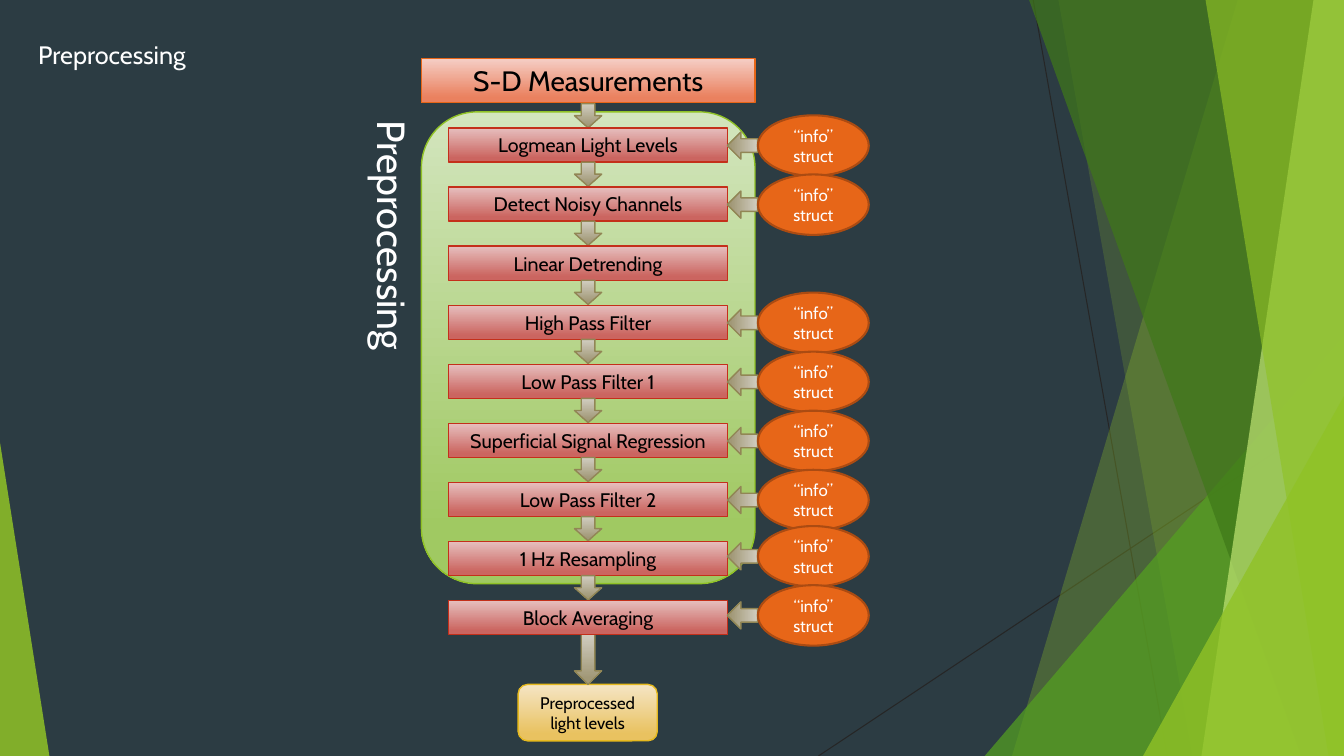
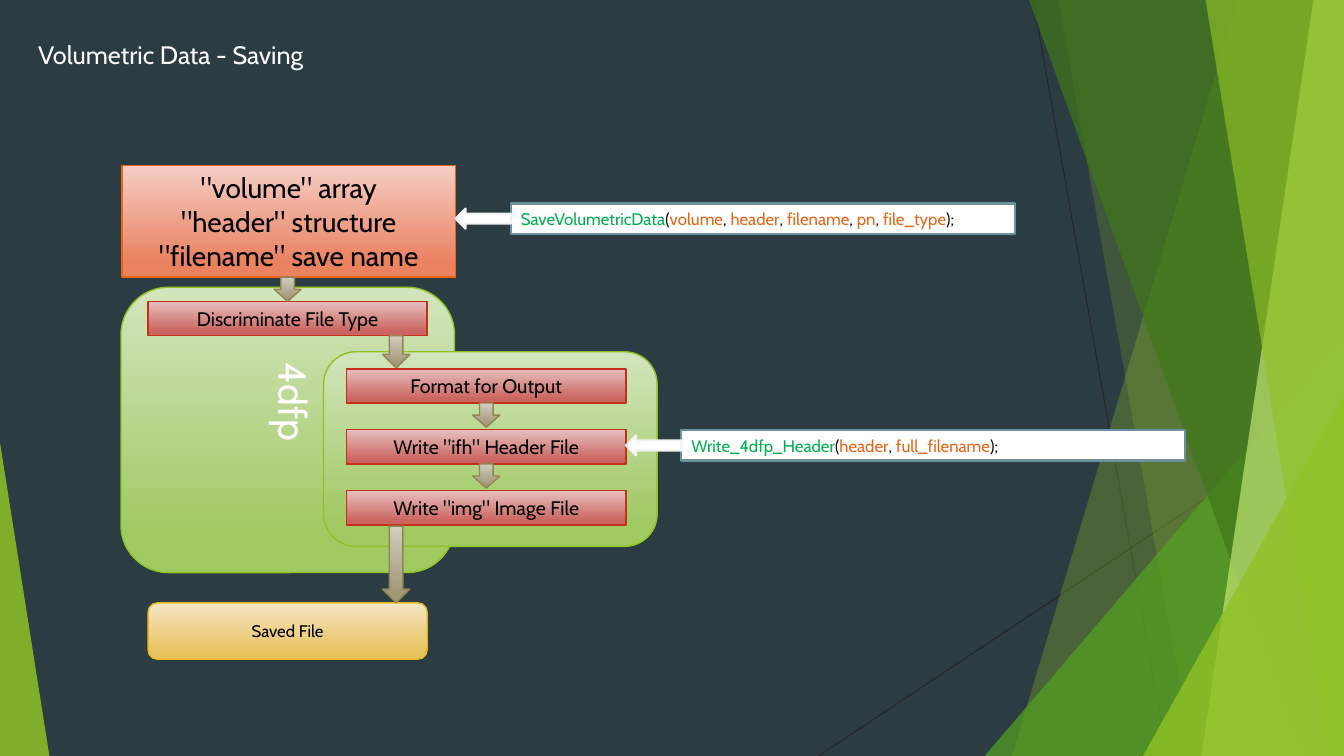
"""Build two flowchart slides on preprocessing and on saving volumetric data."""
import dataclasses
import typing

import lxml.etree
import pptx
import pptx.dml.color
import pptx.dml.fill
import pptx.enum.shapes
import pptx.enum.text
import pptx.oxml.ns
import pptx.presentation
import pptx.shapes.autoshape
import pptx.slide
import pptx.text.text
import pptx.util

Pt = pptx.util.Pt
KIND = pptx.enum.shapes.MSO_SHAPE
ALIGN = pptx.enum.text.PP_ALIGN
ANCHOR = pptx.enum.text.MSO_ANCHOR

FONT = "Cabin"
WIDTH, HEIGHT = 960, 540
STEP_WIDTH, STEP_HEIGHT = 199.4, 24.4
ARROW_WIDTH, ARROW_HEIGHT = 19.4, 17.3
INFO_WIDTH, INFO_HEIGHT = 79.2, 43.2

COLORS = {
    "background": "2C3C43", "hairline": "262626", "white": "FFFFFF", "black": "000000",
    "lime": "90C226", "green": "54A021", "forest": "3F7819", "pale lime": "C0E474",
    "panel top": "D3E5BE", "panel bottom": "A0C962",
    "input top": "F5CEC5", "input bottom": "EA815F", "orange": "E76618",
    "step top": "E6BFBE", "step bottom": "CB6560", "step edge": "C42F1A",
    "result top": "F5E5C5", "result bottom": "E9C260", "result edge": "E6B91E",
    "arrow top": "D1CDC0", "arrow bottom": "A19877", "arrow edge": "918655",
    "info edge": "AB4B12", "code edge": "6E91A0", "pointer edge": "F2F2F2",
    "function": "00B050",
}


@dataclasses.dataclass(frozen=True)
class Look:
    kind: pptx.enum.shapes.MSO_SHAPE
    fills: tuple[str, ...]
    edge: str
    weight: float = 1
    size: float = 12
    ink: str = "black"


PANEL = Look(KIND.ROUNDED_RECTANGLE, ("panel top", "panel bottom"), "lime")
INPUT = Look(KIND.RECTANGLE, ("input top", "input bottom"), "orange", size=20)
STEP = Look(KIND.RECTANGLE, ("step top", "step bottom"), "step edge", size=14)
RESULT = Look(KIND.ROUNDED_RECTANGLE, ("result top", "result bottom"), "result edge")
ARROW = Look(KIND.DOWN_ARROW, ("arrow top", "arrow bottom"), "arrow edge")
INFO = Look(KIND.OVAL, ("orange",), "info edge", 1.5, ink="white")
CODE = Look(KIND.RECTANGLE, ("white",), "code edge", 1.5)
POINTER = Look(KIND.LEFT_ARROW, ("white",), "pointer edge", 1.5)


@dataclasses.dataclass(frozen=True)
class Slab:
    top_x: float
    bottom_x: float
    color: str
    opacity: int


@dataclasses.dataclass(frozen=True)
class Wedge:
    left: float
    top: float
    width: float
    apex: float
    color: str
    opacity: int


@dataclasses.dataclass(frozen=True)
class Step:
    label: str
    info_rise: typing.Optional[float] = 9


@dataclasses.dataclass(frozen=True)
class Call:
    left: float
    top: float
    function: str
    arguments: tuple[str, ...]


HAIRLINES = ((738, 0, 833.8, HEIGHT), (WIDTH, 290.2, 584.6, HEIGHT))
FACETS = (
    Slab(884.2, 722.9, "lime", 30),
    Slab(756, 851.8, "lime", 20),
    Wedge(703.4, 239.8, 256.6, 1, "green", 72),
    Slab(735.1, 929.5, "forest", 70),
    Slab(938.2, 858.2, "pale lime", 70),
    Slab(861.1, 949, "lime", 65),
    Wedge(816.5, 283, 143.5, 1, "lime", 80),
    Wedge(0, 316.1, 35.3, 0, "lime", 85),
)
PREPROCESSING = (
    Step("Logmean Light Levels"),
    Step("Detect Noisy Channels"),
    Step("Linear Detrending", None),
    Step("High Pass Filter"),
    Step("Low Pass Filter 1"),
    Step("Superficial Signal Regression"),
    Step("Low Pass Filter 2"),
    Step("1 Hz Resampling", 11),
    Step("Block Averaging", 11),
)
SAVING = ("Format for Output", 'Write "ifh" Header File', 'Write "img" Image File')
CALLS = (
    Call(365, 145.4, "SaveVolumetricData",
         ("volume", "header", "filename", "pn", "file_type")),
    Call(486.7, 307.4, "Write_4dfp_Header", ("header", "full_filename")),
)


def rgb(name: str) -> pptx.dml.color.RGBColor:
    """Return the named colour."""
    return pptx.dml.color.RGBColor.from_string(COLORS[name])


def paint(fill: pptx.dml.fill.FillFormat, names: tuple[str, ...]) -> None:
    """Apply a solid fill, or a downward gradient for two colours."""
    if len(names) == 1:
        fill.solid()
        fill.fore_color.rgb = rgb(names[0])
        return
    fill.gradient()
    fill.gradient_angle = 270
    for stop, name, position in zip(fill.gradient_stops, names, (0, 0.88)):
        stop.color.rgb = rgb(name)
        stop.position = position


def format_run(run: pptx.text.text._Run, size: float, ink: str) -> None:
    """Set the font of a run."""
    run.font.name = FONT
    run.font.size = Pt(size)
    run.font.color.rgb = rgb(ink)


def draw(slide: pptx.slide.Slide, look: Look, left: float, top: float,
         width: float, height: float, text: str = "") -> pptx.shapes.autoshape.Shape:
    """Draw a flowchart shape with centred text."""
    shape = slide.shapes.add_shape(look.kind, Pt(left), Pt(top), Pt(width), Pt(height))
    shape.shadow.inherit = False
    paint(shape.fill, look.fills)
    shape.line.color.rgb = rgb(look.edge)
    shape.line.width = Pt(look.weight)
    if text:
        frame = shape.text_frame
        frame.text = text
        frame.word_wrap = True
        frame.vertical_anchor = ANCHOR.MIDDLE
        for paragraph in frame.paragraphs:
            paragraph.alignment = ALIGN.CENTER
            format_run(paragraph.runs[0], look.size, look.ink)
    return shape


def add_label(slide: pptx.slide.Slide, text: str, left: float, top: float,
              width: float, height: float, size: float, vertical: bool = False) -> None:
    """Add a white label, optionally turned to read downwards."""
    label = slide.shapes.add_textbox(Pt(left), Pt(top), Pt(width), Pt(height))
    label.text_frame.text = text
    label.text_frame.word_wrap = vertical
    if vertical:
        label.element.txBody.bodyPr.set("vert", "vert")
    format_run(label.text_frame.paragraphs[0].runs[0], size, "white")


def add_title(slide: pptx.slide.Slide, text: str, width: float) -> None:
    """Add the slide title."""
    add_label(slide, text, 20.2, 24.5, width, 28.8, 18)


def add_arrow(slide: pptx.slide.Slide, center: float, top: float,
              height: float = ARROW_HEIGHT) -> None:
    """Draw a downward arrow around a centre line."""
    draw(slide, ARROW, center - ARROW_WIDTH / 2, top, ARROW_WIDTH, height)


def add_column(slide: pptx.slide.Slide, labels: typing.Sequence[str],
               left: float, top: float, pitch: float) -> None:
    """Draw evenly spaced steps joined by arrows."""
    for index, label in enumerate(labels):
        y = top + index * pitch
        draw(slide, STEP, left, y, STEP_WIDTH, STEP_HEIGHT, label)
        if index < len(labels) - 1:
            add_arrow(slide, left + STEP_WIDTH / 2, y + STEP_HEIGHT)


def add_info(slide: pptx.slide.Slide, top: float) -> None:
    """Draw an info oval and its arrow to the step."""
    arrow_height = 21.6
    arrow = draw(slide, ARROW, 520.6, top + (INFO_HEIGHT - arrow_height) / 2,
                 ARROW_WIDTH, arrow_height)
    arrow.rotation = 90
    draw(slide, INFO, 541.4, top, INFO_WIDTH, INFO_HEIGHT, "“info” struct")


def add_call(slide: pptx.slide.Slide, call: Call) -> None:
    """Draw a coloured function call and its pointer."""
    height, pointer_width, pointer_height = 21.6, 39.6, 14.4
    code = draw(slide, CODE, call.left, call.top, 360, height)
    code.text_frame.vertical_anchor = ANCHOR.MIDDLE
    code.text_frame.word_wrap = True
    paragraph = code.text_frame.paragraphs[0]
    paragraph.alignment = ALIGN.LEFT
    pieces = [(call.function, "function")]
    for index, argument in enumerate(call.arguments):
        pieces += [(", " if index else "(", "black"), (argument, "orange")]
    for text, ink in pieces + [(");", "black")]:
        run = paragraph.add_run()
        run.text = text
        format_run(run, CODE.size, ink)
    draw(slide, POINTER, call.left - pointer_width,
         call.top + (height - pointer_height) / 2, pointer_width, pointer_height)


def add_facet(slide: pptx.slide.Slide,
              facet: typing.Union[Slab, Wedge]) -> pptx.shapes.autoshape.Shape:
    """Draw one translucent facet of the backdrop."""
    if isinstance(facet, Slab):
        outline = slide.shapes.build_freeform(Pt(facet.top_x), 0)
        corners = ((WIDTH, 0), (WIDTH, HEIGHT), (facet.bottom_x, HEIGHT))
        outline.add_line_segments([(Pt(x), Pt(y)) for x, y in corners])
        shape = outline.convert_to_shape()
    else:
        shape = slide.shapes.add_shape(
            KIND.ISOSCELES_TRIANGLE, Pt(facet.left), Pt(facet.top),
            Pt(facet.width), Pt(HEIGHT - facet.top))
        shape.adjustments[0] = facet.apex
    shape.shadow.inherit = False
    paint(shape.fill, (facet.color,))
    shape.line.fill.background()
    color = shape.element.spPr.find(".//" + pptx.oxml.ns.qn("a:srgbClr"))
    lxml.etree.SubElement(color, pptx.oxml.ns.qn("a:alpha"), val=str(facet.opacity * 1000))
    return shape


def set_backdrop(deck: pptx.presentation.Presentation, slide: pptx.slide.Slide) -> None:
    """Draw the backdrop and hand it to the slide master."""
    master = deck.slide_master
    paint(master.background.fill, ("background",))
    backdrop = []
    for ends in HAIRLINES:
        hairline = slide.shapes.add_connector(
            pptx.enum.shapes.MSO_CONNECTOR.STRAIGHT, *(Pt(end) for end in ends))
        hairline.line.color.rgb = rgb("hairline")
        hairline.line.width = Pt(0.75)
        lxml.etree.SubElement(hairline.element.spPr, pptx.oxml.ns.qn("a:effectLst"))
        backdrop.append(hairline)
    backdrop += [add_facet(slide, facet) for facet in FACETS]
    for shape in backdrop:
        master.shapes.element.append(shape.element)


def build_preprocessing(slide: pptx.slide.Slide) -> None:
    """Draw the preprocessing pipeline."""
    left, top, pitch, center = 320.4, 91.4, 42.2, 420.1
    add_title(slide, "Preprocessing", 125.3)
    add_label(slide, "Preprocessing", 252.7, 79.2, 48.2, 189.4, 28, vertical=True)
    draw(slide, RESULT, 370.1, 488.9, 99.4, 40.3, "Preprocessed light levels")
    add_arrow(slide, center, 452.9, 36)
    draw(slide, PANEL, 301, 79.9, 238.3, 337)
    draw(slide, INPUT, 301, 41.8, 238.3, 31.5, "S-D Measurements")
    add_arrow(slide, center, 74)
    add_column(slide, [step.label for step in PREPROCESSING], left, top, pitch)
    for index, step in enumerate(PREPROCESSING):
        if step.info_rise is not None:
            add_info(slide, top + index * pitch - step.info_rise)


def build_saving(slide: pptx.slide.Slide) -> None:
    """Draw the volumetric saving pipeline."""
    draw(slide, PANEL, 86.4, 205.2, 238.3, 203.8)
    add_title(slide, "Volumetric Data - Saving", 214.6)
    draw(slide, INPUT, 87.1, 118.1, 238.3, 79.9,
         '"volume" array\n"header" structure\n"filename" save name')
    draw(slide, PANEL, 231.1, 251.3, 238.3, 139)
    add_column(slide, ["Discriminate File Type"], 105.8, 215.2, 0)
    add_arrow(slide, 205.5, 198)
    add_arrow(slide, 283, 239.8, 23)
    add_column(slide, SAVING, 247.7, 263.5, 43.5)
    draw(slide, RESULT, 105.8, 430.6, STEP_WIDTH, 40.3, "Saved File")
    add_arrow(slide, 283, 375.8, 54.7)
    add_label(slide, "4dfp", 182.2, 252, 48.2, 138.2, 28, vertical=True)
    for call in CALLS:
        add_call(slide, call)


def main() -> None:
    """Build and save the deck."""
    deck = pptx.Presentation()
    deck.slide_width, deck.slide_height = Pt(WIDTH), Pt(HEIGHT)
    blank = deck.slide_layouts[6]
    first, second = (deck.slides.add_slide(blank) for _ in range(2))
    set_backdrop(deck, first)
    build_preprocessing(first)
    build_saving(second)
    deck.save("out.pptx")


if __name__ == "__main__":
    main()
